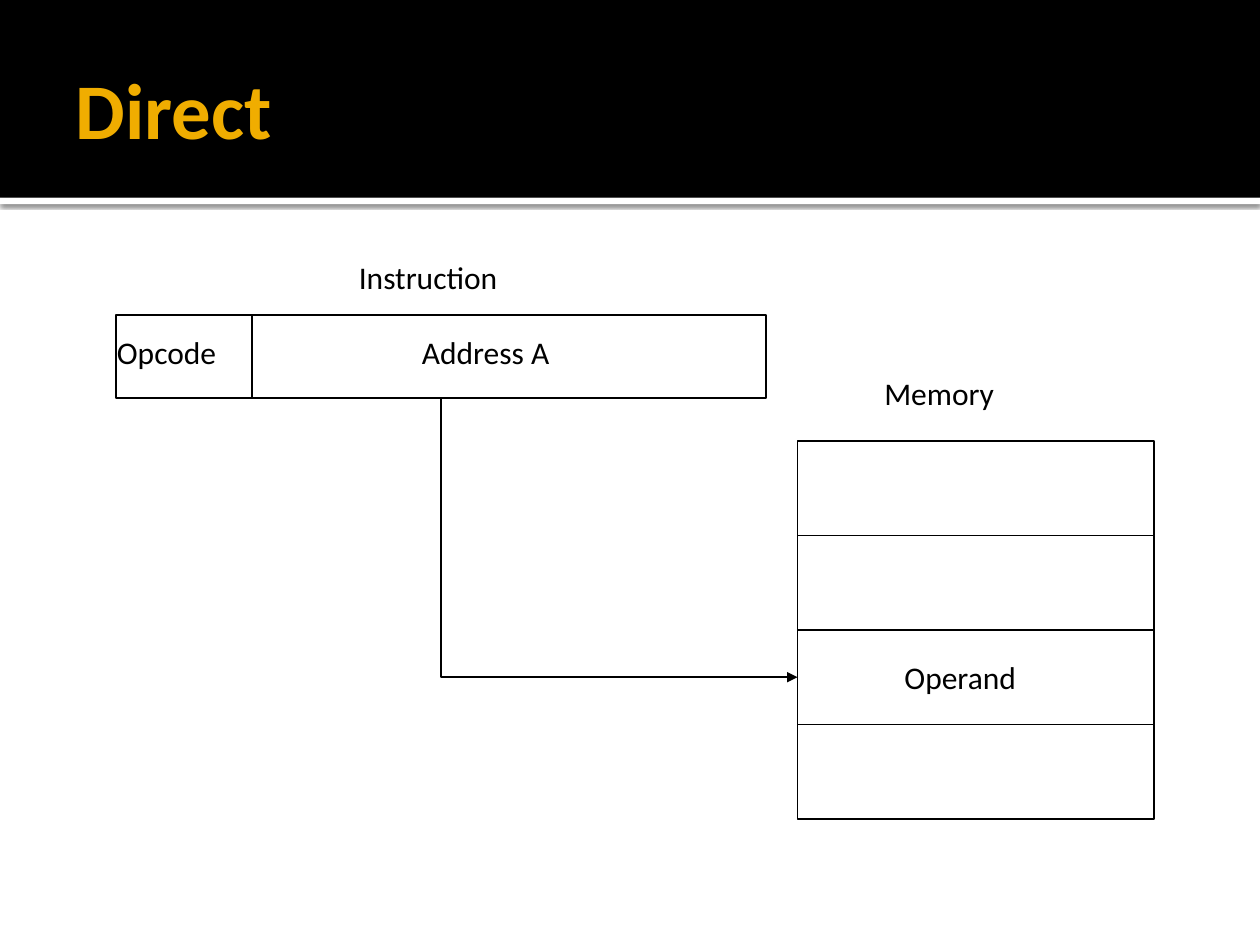
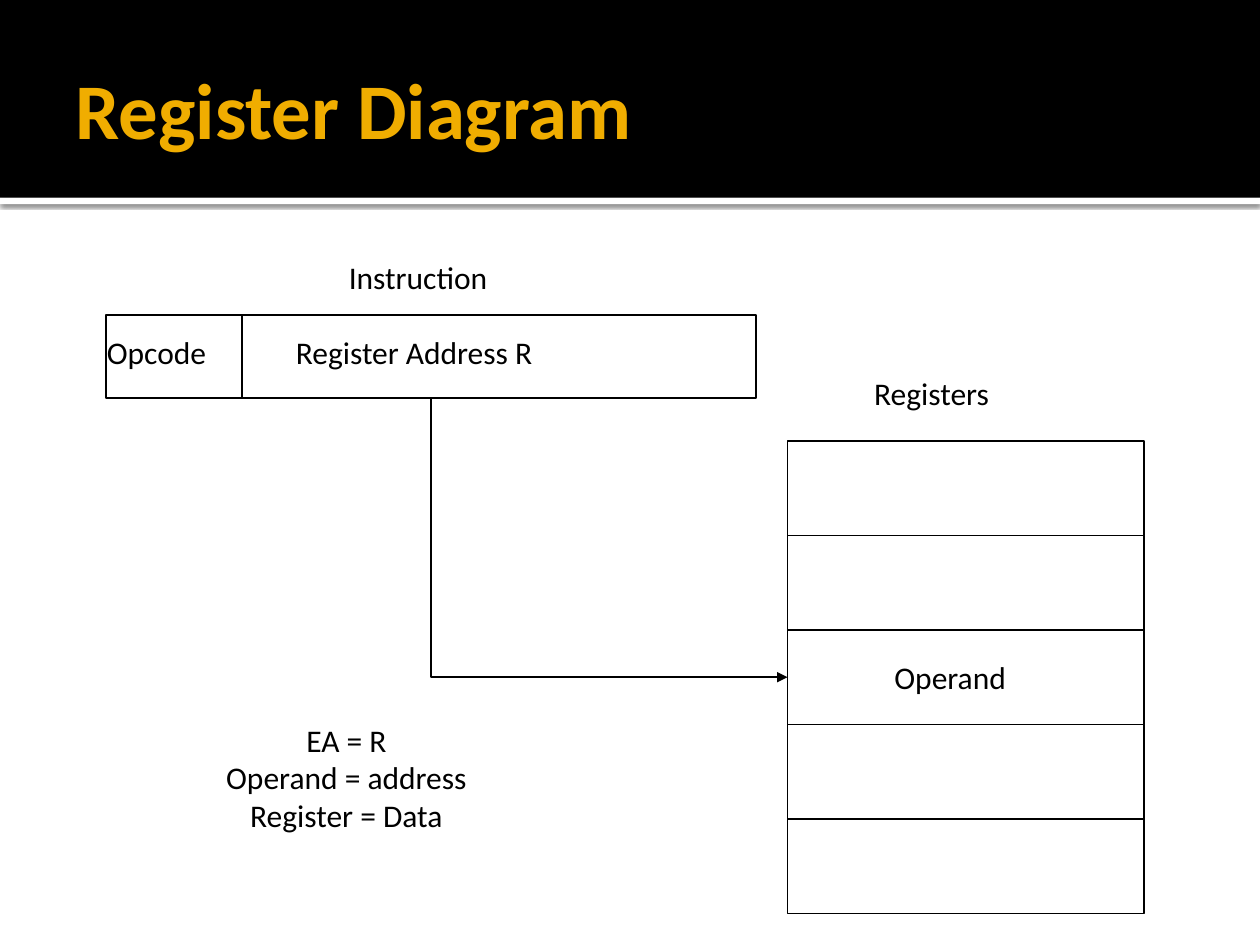
from pptx import Presentation
from pptx.dml.color import RGBColor
from pptx.enum.shapes import MSO_CONNECTOR, MSO_SHAPE
from pptx.enum.text import MSO_ANCHOR, MSO_AUTO_SIZE, PP_ALIGN
from pptx.oxml import parse_xml
from pptx.oxml.ns import nsdecls, qn
from pptx.util import Inches, Pt

DIAGRAMS = [
    {"title": "Direct", "left": 0.92,
     "address": "Address A", "address_offset": 2.33,
     "store": "Memory", "cells": ["", "", "Operand", ""], "notes": []},
    {"title": "Register Diagram", "left": 0.84,
     "address": "Register Address R", "address_offset": 1.41,
     "store": "Registers", "cells": ["", "", "Operand", "", ""],
     "notes": ["EA = R", "Operand = address", "Register = Data"]},
]

BLACK = RGBColor(0x00, 0x00, 0x00)
WHITE = RGBColor(0xFF, 0xFF, 0xFF)
GOLD = RGBColor(0xF0, 0xAD, 0x00)
FONT = "Calibri"

SLIDE_WIDTH, SLIDE_HEIGHT = 10, 7.5
BAND_HEIGHT, STRIP_HEIGHT = 1.57, 0.05
INSTRUCTION_TOP, INSTRUCTION_WIDTH, INSTRUCTION_HEIGHT = 2.5, 5.16, 0.66
INSTRUCTION_BOTTOM = INSTRUCTION_TOP + INSTRUCTION_HEIGHT
OPCODE_WIDTH, POINTER_OFFSET = 1.08, 2.58
STORE_OFFSET, STORE_TOP, CELL_WIDTH, CELL_HEIGHT = 5.41, 3.5, 2.83, 0.75
LABEL_WIDTH, LABEL_HEIGHT = 2.8, 0.5


def add_rectangle(slide, left, top, width, height, fill=None):
    rectangle = slide.shapes.add_shape(
        MSO_SHAPE.RECTANGLE, *map(Inches, (left, top, width, height)))
    rectangle.shadow.inherit = False
    if fill is None:
        rectangle.fill.background()
        set_outline(rectangle)
    else:
        rectangle.fill.solid()
        rectangle.fill.fore_color.rgb = fill
        rectangle.line.fill.background()
    return rectangle


def set_outline(outlined):
    outlined.line.color.rgb = BLACK
    outlined.line.width = Pt(1)


def style_font(paragraph, size, color, bold=False):
    paragraph.font.name = FONT
    paragraph.font.size = Pt(size)
    paragraph.font.bold = bold
    paragraph.font.color.rgb = color


def add_label(slide, lines, left, top, width=LABEL_WIDTH, height=LABEL_HEIGHT,
              align=PP_ALIGN.LEFT):
    frame = slide.shapes.add_textbox(
        *map(Inches, (left, top, width, height))).text_frame
    frame.word_wrap = True
    frame.text = "\n".join(lines)
    for paragraph in frame.paragraphs:
        paragraph.alignment = align
        style_font(paragraph, 18, BLACK)


def add_header(layout, slide):
    strip = add_rectangle(slide, 0, BAND_HEIGHT, SLIDE_WIDTH, STRIP_HEIGHT, WHITE)
    strip._element.spPr.find(qn("a:effectLst")).append(parse_xml(
        f'<a:outerShdw {nsdecls("a")} blurRad="{Pt(2.5)}" dist="{Pt(0.8)}" '
        'dir="5400000" algn="t" rotWithShape="0"><a:srgbClr val="000000">'
        '<a:alpha val="60000"/></a:srgbClr></a:outerShdw>'))
    band = add_rectangle(slide, 0, 0, SLIDE_WIDTH, BAND_HEIGHT, BLACK)
    for position, part in enumerate((strip, band), start=2):
        layout.shapes._spTree.insert(position, part._element)


def place_layout_title(layout):
    title = layout.placeholders[0]
    title.left, title.top, title.width, title.height = map(
        Inches, (0.5, 0.17, 9, 1.37))


def add_title(slide, text):
    frame = slide.shapes.title.text_frame
    frame.text = text
    frame.auto_size = MSO_AUTO_SIZE.NONE
    frame.vertical_anchor = MSO_ANCHOR.MIDDLE
    frame.margin_left = Inches(0.1)
    frame.margin_right = Inches(0.05)
    frame.paragraphs[0].alignment = PP_ALIGN.LEFT
    style_font(frame.paragraphs[0], 45, GOLD, bold=True)


def add_instruction(slide, diagram):
    left = diagram["left"]
    add_rectangle(slide, left, INSTRUCTION_TOP, INSTRUCTION_WIDTH, INSTRUCTION_HEIGHT)
    divider_x = Inches(left + OPCODE_WIDTH)
    divider = slide.shapes.add_connector(
        MSO_CONNECTOR.STRAIGHT, divider_x, Inches(INSTRUCTION_TOP),
        divider_x, Inches(INSTRUCTION_BOTTOM))
    set_outline(divider)
    divider._element.spPr.append(parse_xml(f'<a:effectLst {nsdecls("a")}/>'))
    field_top = INSTRUCTION_TOP + 0.09
    add_label(slide, ["Instruction"], left + 1.83, INSTRUCTION_TOP - LABEL_HEIGHT)
    add_label(slide, ["Opcode"], left - 0.09, field_top, 1.23)
    add_label(slide, [diagram["address"]], left + diagram["address_offset"], field_top)


def add_store(slide, diagram):
    left = diagram["left"] + STORE_OFFSET
    add_label(slide, [diagram["store"]], left + 0.59, 2.92, 1.44)
    for row, content in enumerate(diagram["cells"]):
        top = STORE_TOP + row * CELL_HEIGHT
        add_rectangle(slide, left, top, CELL_WIDTH, CELL_HEIGHT)
        if content:
            add_label(slide, [content], left + 0.75, top + 0.17, 1.35)
            add_pointer(slide, diagram["left"] + POINTER_OFFSET, left,
                        top + CELL_HEIGHT / 2)


def add_pointer(slide, start_x, end_x, end_y):
    start_x, end_x, end_y = map(Inches, (start_x, end_x, end_y))
    builder = slide.shapes.build_freeform(start_x, Inches(INSTRUCTION_BOTTOM))
    builder.add_line_segments([(start_x, end_y), (end_x, end_y)], close=False)
    pointer = builder.convert_to_shape()
    pointer.shadow.inherit = False
    pointer.fill.background()
    set_outline(pointer)
    pointer.line._ln.append(parse_xml(f'<a:tailEnd {nsdecls("a")} type="triangle"/>'))


def main():
    """Build the addressing mode diagrams."""
    deck = Presentation()
    deck.slide_width, deck.slide_height = Inches(SLIDE_WIDTH), Inches(SLIDE_HEIGHT)
    title_only = deck.slide_layouts.get_by_name("Title Only")
    place_layout_title(title_only)
    slides = [deck.slides.add_slide(title_only) for _ in DIAGRAMS]
    add_header(title_only, slides[0])
    for slide, diagram in zip(slides, DIAGRAMS):
        add_title(slide, diagram["title"])
        add_instruction(slide, diagram)
        add_store(slide, diagram)
        if diagram["notes"]:
            add_label(slide, diagram["notes"], 0.25, 5.67, 5, 1.01, PP_ALIGN.CENTER)
    deck.save("out.pptx")


if __name__ == "__main__":
    main()
